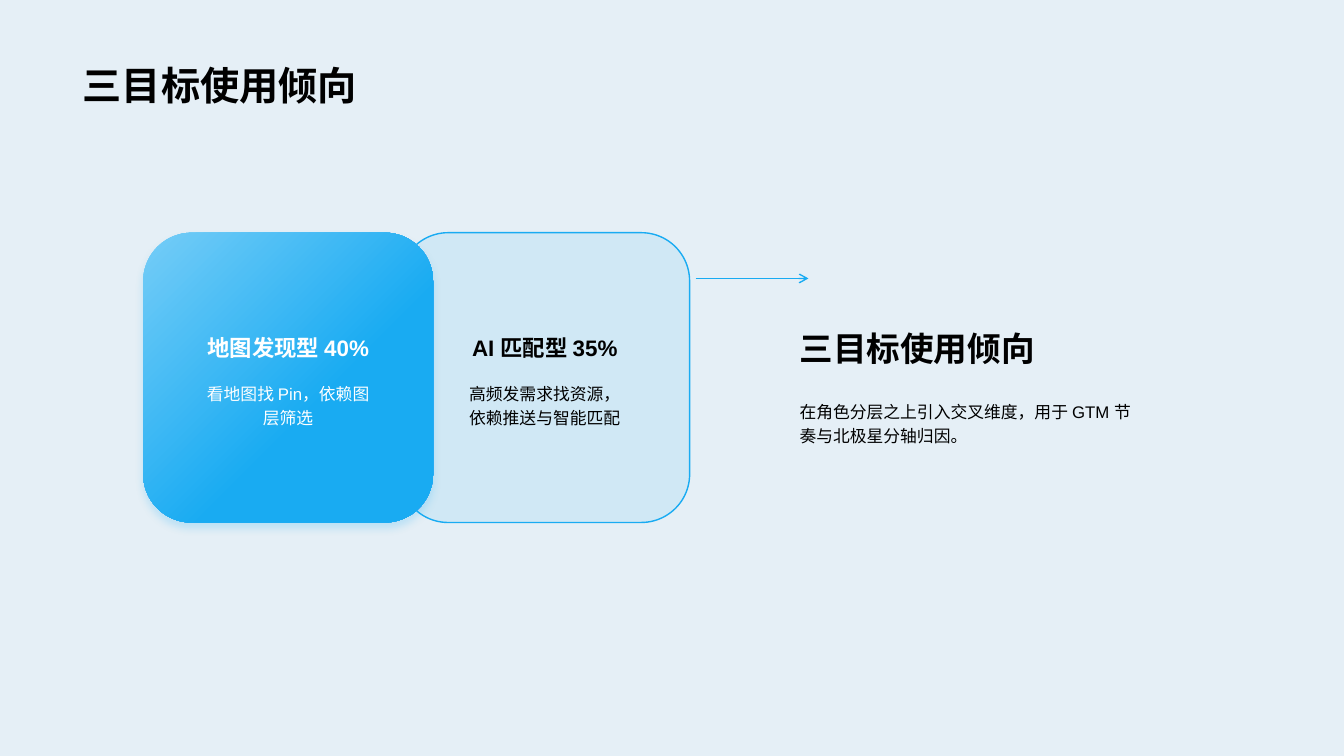
from dataclasses import dataclass

from lxml.etree import SubElement as Sub
from pptx import Presentation
from pptx.dml.color import RGBColor as RGB
from pptx.enum.shapes import MSO_CONNECTOR as Conn, MSO_SHAPE as Shape
from pptx.enum.text import MSO_ANCHOR as Anchor, MSO_AUTO_SIZE as Fit, PP_ALIGN as Align
from pptx.oxml.ns import qn
from pptx.util import Emu, Pt


@dataclass(frozen=True)
class Theme:
    """Colours, font and type sizes."""
    back: str = "E5EFF6"
    blue: str = "19ABF2"
    sky: str = "75CDF7"
    dark: str = "000000"
    light: str = "FFFFFF"
    face: str = "Arial"
    title: int = 28
    lead: int = 24
    head: int = 16
    body: int = 12


def fill_in(item, vals):
    """Set each named value on the item."""
    for name, val in vals.items():
        setattr(item, name, val)


def node(up, tag, **atts):
    """Add a drawing element with its attributes."""
    return Sub(up, qn(f"a:{tag}"), {key: str(val) for key, val in atts.items()})


class Page:
    """A slide on a grid of 160 columns by 90 rows."""
    cols, rows = 160, 90

    def __init__(self, deck, theme):
        """Start a title slide with a plain background."""
        self.theme = theme
        self.cell = deck.slide_width / self.cols
        self.slide = deck.slides.add_slide(deck.slide_layouts[5])
        fill = self.slide.background.fill
        fill.solid()
        fill.fore_color.rgb = RGB.from_string(theme.back)

    def span(self, *cells):
        """Turn grid cells into lengths."""
        return [Emu(round(n * self.cell)) for n in cells]

    def label(self, shape, words, size, tint, bold=False, anchor=Anchor.TOP,
              align=Align.LEFT, fit=Fit.NONE, lead=1.0):
        """Fill a shape with one styled paragraph."""
        frame = shape.text_frame
        fill_in(frame, dict(word_wrap=True, vertical_anchor=anchor, auto_size=fit))
        para = frame.paragraphs[0]
        fill_in(para, dict(alignment=align, line_spacing=lead))
        run = para.add_run()
        run.text = words
        fill_in(run.font, dict(name=self.theme.face, size=Pt(size), bold=bold))
        run.font.color.rgb = RGB.from_string(tint)

    def title(self, box, words):
        """Move and fill the title placeholder."""
        shape = self.slide.shapes.title
        fill_in(shape, dict(zip(("left", "top", "width", "height"), self.span(*box))))
        self.label(shape, words, self.theme.title, self.theme.dark, True, Anchor.BOTTOM)

    def text(self, box, words, size, tint, **look):
        """Add a text box."""
        self.label(self.slide.shapes.add_textbox(*self.span(*box)), words, size, tint, **look)

    def body(self, box, words, tint, align=Align.LEFT):
        """Add a block of running text."""
        self.text(box, words, self.theme.body, tint, align=align,
                  fit=Fit.SHAPE_TO_FIT_TEXT, lead=1.2)

    def card(self, left, top, side, head, words, solid):
        """Add a rounded card with its heading and text."""
        shape = self.slide.shapes.add_shape(
            Shape.ROUNDED_RECTANGLE, *self.span(left, top, side, side))
        shape.shadow.inherit = False
        (self.glow if solid else self.tint)(shape)
        tint = self.theme.light if solid else self.theme.dark
        wide = 22.2
        start = left + (side - wide) / 2
        self.text((start, top + 10.7, wide, 5.15), head, self.theme.head, tint,
                  bold=True, anchor=Anchor.BOTTOM, align=Align.CENTER)
        self.body((start, top + 16.95, wide, 6.85), words, tint, Align.CENTER)

    def glow(self, shape):
        """Give a shape a slanted gradient and a soft shadow."""
        shape.line.fill.background()
        shape.fill.gradient()
        shape.fill.gradient_angle = 315
        tints = (0, self.theme.sky), (0.6, self.theme.blue)
        for stop, (place, tint) in zip(shape.fill.gradient_stops, tints):
            stop.position = place
            stop.color.rgb = RGB.from_string(tint)
        cast = node(shape.element.spPr.find(qn("a:effectLst")), "outerShdw",
                    blurRad=Pt(6), dist=Pt(4), dir=5400000, algn="t", rotWithShape=0)
        node(node(cast, "srgbClr", val=self.theme.blue), "alpha", val=20000)

    def tint(self, shape):
        """Give a shape a sheer fill and a thin outline."""
        shape.fill.solid()
        shape.fill.fore_color.rgb = RGB.from_string(self.theme.blue)
        clear = shape.element.spPr.find(qn("a:solidFill")).find(qn("a:srgbClr"))
        node(clear, "alpha", val=10000)
        self.stroke(shape.line)

    def stroke(self, line):
        """Style a line."""
        line.color.rgb = RGB.from_string(self.theme.blue)
        line.width = Pt(1)

    def arrow(self, *ends):
        """Add a line with an open arrowhead."""
        link = self.slide.shapes.add_connector(Conn.STRAIGHT, *self.span(*ends))
        self.stroke(link.line)
        props = link.element.spPr
        node(props.find(qn("a:ln")), "tailEnd", type="arrow")
        node(props, "effectLst")


def main():
    """Build and save the slide."""
    theme = Theme()
    deck = Presentation()
    fill_in(deck, dict(slide_width=Emu(12192000), slide_height=Emu(6858000)))
    page = Page(deck, theme)
    topic = "三目标使用倾向"
    page.title((8.65, 0, 142.55, 13.45), topic)

    top, side = 27.7, 34.5
    cards = (
        (47.6, "AI 匹配型 35%", "高频发需求找资源，依赖推送与智能匹配", False),
        (17.05, "地图发现型 40%", "看地图找 Pin，依赖图层筛选", True),
    )
    for left, head, words, solid in cards:
        page.card(left, top, side, head, words, solid)

    page.arrow(82.8, 33.15, 96.25, 33.15)
    left, wide = 94, 42.75
    page.text((left, 38.4, wide, 6), topic, theme.lead, theme.dark,
              bold=True, fit=Fit.SHAPE_TO_FIT_TEXT)
    page.body((left, 46.7, wide, 6.7),
              "在角色分层之上引入交叉维度，用于 GTM 节奏与北极星分轴归因。", theme.dark)
    deck.save("out.pptx")


if __name__ == "__main__":
    main()
